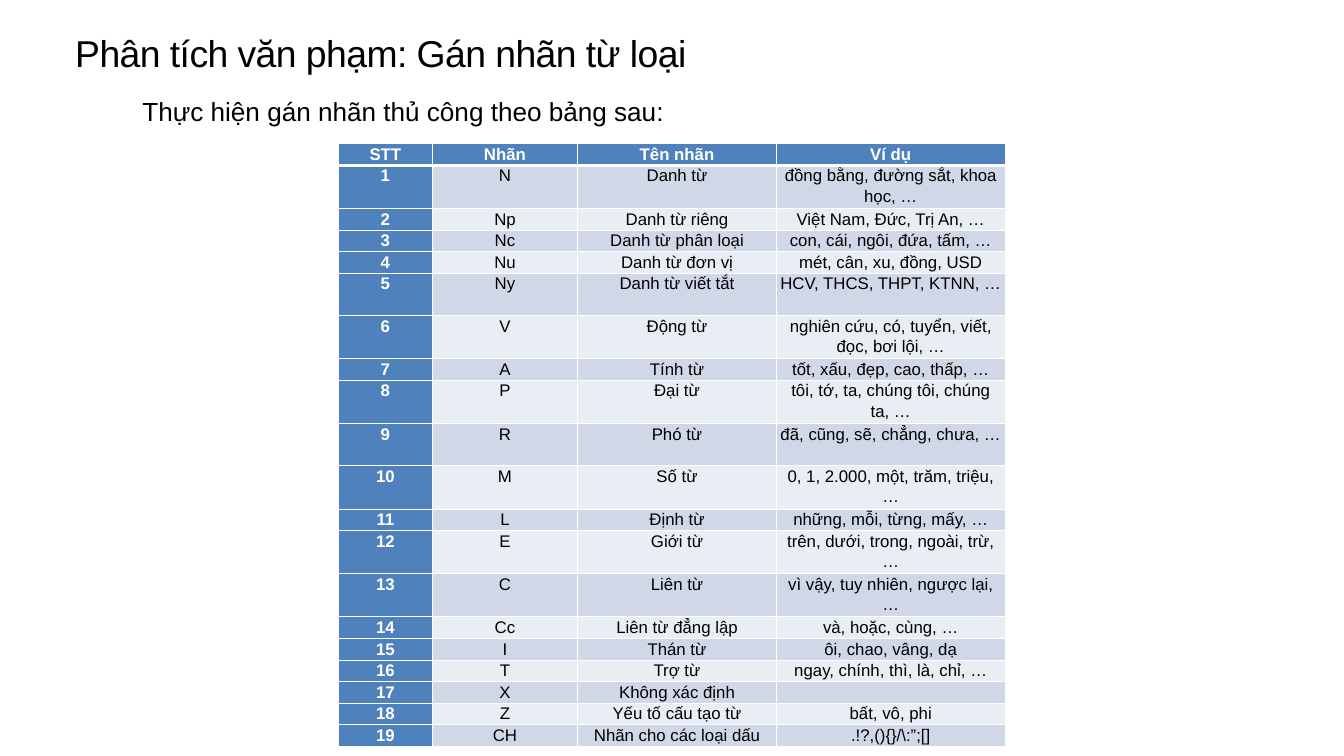
from lxml import etree
from pptx import Presentation, util as u
from pptx.dml.color import RGBColor
from pptx.enum import text
from pptx.oxml import ns

BLACK = RGBColor(0x00, 0x00, 0x00)
WHITE = RGBColor(0xFF, 0xFF, 0xFF)
BLUE = RGBColor(0x4F, 0x81, 0xBD)
BAND_DARK = RGBColor(0xD0, 0xD8, 0xE8)
BAND_LIGHT = RGBColor(0xE9, 0xED, 0xF4)

FONT = "Arial"
WIDTH, HEIGHT = u.Inches(20), u.Inches(11.25)
GRID = 100

TITLE_BOX = (5.6, 4, 55, 6.04)
INTRO_BOX = (5.6, 11.64, 66.85, 4.8)
TABLE_BOX = (25.2, 19.02, 49.6, 77.07)
TABLE_COLS = (6.95, 10.85, 14.75, 17.05)
SHORT_ROW, TALL_ROW = 2.67, 5.6
TALL_TAGS = ("N", "Ny", "V", "P", "R", "M", "E", "C")

HEADER = ("STT", "Nhãn", "Tên nhãn", "Ví dụ")
TAGS = [
    ("N", "Danh từ", "đồng bằng, đường sắt, khoa học, …"),
    ("Np", "Danh từ riêng", "Việt Nam, Đức, Trị An, …"),
    ("Nc", "Danh từ phân loại", "con, cái, ngôi, đứa, tấm, …"),
    ("Nu", "Danh từ đơn vị", "mét, cân, xu, đồng, USD"),
    ("Ny", "Danh từ viết tắt", "HCV, THCS, THPT, KTNN, …"),
    ("V", "Động từ", "nghiên cứu, có, tuyển, viết, đọc, bơi lội, …"),
    ("A", "Tính từ", "tốt, xấu, đẹp, cao, thấp, …"),
    ("P", "Đại từ", "tôi, tớ, ta, chúng tôi, chúng ta, …"),
    ("R", "Phó từ", "đã, cũng, sẽ, chẳng, chưa, …"),
    ("M", "Số từ", "0, 1, 2.000, một, trăm, triệu, …"),
    ("L", "Định từ", "những, mỗi, từng, mấy, …"),
    ("E", "Giới từ", "trên, dưới, trong, ngoài, trừ, …"),
    ("C", "Liên từ", "vì vậy, tuy nhiên, ngược lại, …"),
    ("Cc", "Liên từ đẳng lập", "và, hoặc, cùng, …"),
    ("I", "Thán từ", "ôi, chao, vâng, dạ"),
    ("T", "Trợ từ", "ngay, chính, thì, là, chỉ, …"),
    ("X", "Không xác định", ""),
    ("Z", "Yếu tố cấu tạo từ", "bất, vô, phi"),
    ("CH", "Nhãn cho các loại dấu", ".!?,(){}/\\:”;[]"),
]


def cols(n):
    return round(WIDTH * n / GRID)


def rows(n):
    return round(HEIGHT * n / GRID)


def place(box):
    x, y, w, h = box
    return cols(x), rows(y), cols(w), rows(h)


def write(p, words, size, color=BLACK, bold=False, align=None, line=None,
          after=None, indent=0, spacing=0):
    p.alignment = align
    p.line_spacing = line
    p.space_after = after
    if indent:
        p._p.get_or_add_pPr().set("indent", str(indent))
    if not words:
        p._p.get_or_add_endParaRPr().set("sz", str(size * 100))
        return
    r = p.add_run()
    r.text = words
    r.font.name = FONT
    r.font.size = u.Pt(size)
    r.font.bold = bold
    r.font.color.rgb = color
    if spacing:
        r.font._element.set("spc", str(round(spacing * 100)))


def add_line(s, box, words, **fmt):
    tf = s.shapes.add_textbox(*place(box)).text_frame
    tf.margin_left = tf.margin_right = tf.margin_top = tf.margin_bottom = 0
    tf.word_wrap = True
    tf.auto_size = text.MSO_AUTO_SIZE.SHAPE_TO_FIT_TEXT
    write(tf.paragraphs[0], words, align=text.PP_ALIGN.JUSTIFY, **fmt)


def set_borders(cell, **widths):
    tc_pr = cell._tc.get_or_add_tcPr()
    for side in "LRTB":
        ln = etree.SubElement(tc_pr, ns.qn(f"a:ln{side}"),
                              w=str(u.Pt(widths.get(side, 1))))
        fill = etree.SubElement(ln, ns.qn("a:solidFill"))
        etree.SubElement(fill, ns.qn("a:srgbClr"), val=str(WHITE))


def format_cell(cell, words, row, col):
    heading = row == 0 or col == 0
    band = BAND_DARK if row % 2 else BAND_LIGHT
    set_borders(cell, T=3 if row == 1 else 1, B=3 if row == 0 else 1)
    cell.fill.solid()
    cell.fill.fore_color.rgb = BLUE if heading else band
    cell.margin_left = cell.margin_right = u.Inches(0.06)
    cell.margin_top = cell.margin_bottom = 0
    write(cell.text_frame.paragraphs[0], words, 18,
          color=WHITE if heading else BLACK, bold=heading,
          align=text.PP_ALIGN.CENTER, line=1.07, after=u.Pt(8))


def add_tag_table(s, box):
    lines = [HEADER] + [(str(n), *tag) for n, tag in enumerate(TAGS, 1)]
    table = s.shapes.add_table(len(lines), len(HEADER), *place(box)).table
    table.first_col = True
    for column, width in zip(table.columns, TABLE_COLS):
        column.width = cols(width)
    for i, line in enumerate(lines):
        table.rows[i].height = rows(TALL_ROW if line[1] in TALL_TAGS else SHORT_ROW)
        for j, words in enumerate(line):
            format_cell(table.cell(i, j), words, i, j)


def main():
    prs = Presentation()
    prs.slide_width, prs.slide_height = WIDTH, HEIGHT
    s = prs.slides.add_slide(prs.slide_layouts[6])
    add_line(s, TITLE_BOX, "Phân tích văn phạm: Gán nhãn từ loại",
             size=40, line=u.Pt(48), spacing=-0.6)
    add_line(s, INTRO_BOX, "Thực hiện gán nhãn thủ công theo bảng sau:",
             size=28, line=u.Pt(42), indent=cols(5))
    add_tag_table(s, TABLE_BOX)
    prs.save("out.pptx")


if __name__ == "__main__":
    main()
